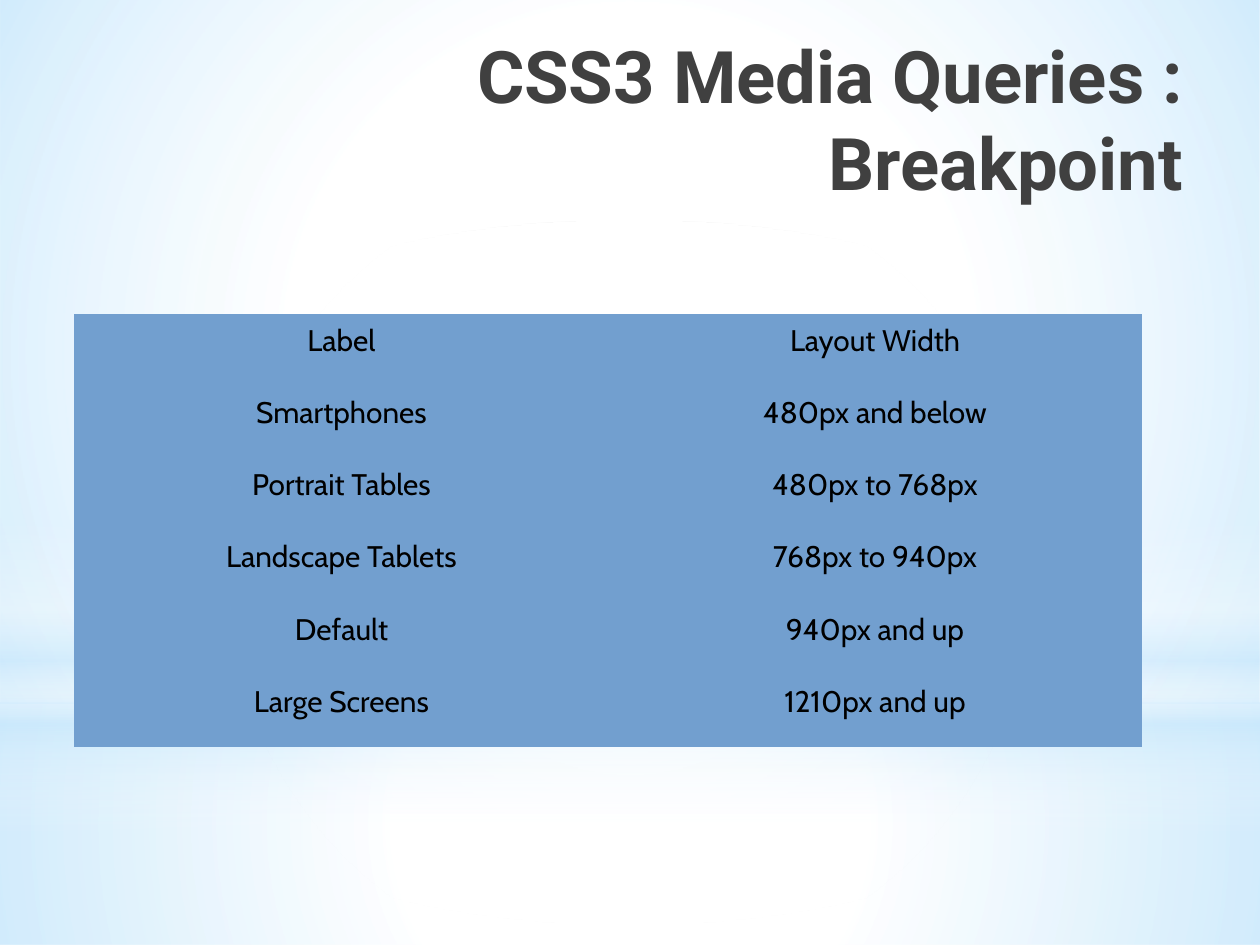
from dataclasses import dataclass
from lxml.etree import SubElement
from pptx import Presentation
from pptx.dml.color import RGBColor
from pptx.enum.shapes import MSO_SHAPE
from pptx.enum.text import MSO_ANCHOR, MSO_AUTO_SIZE, PP_ALIGN
from pptx.oxml.ns import qn
from pptx.util import Inches, Pt


@dataclass(frozen=True)
class Theme:
    white: str = "FFFFFF"
    sky: str = "C6E7FC"
    ink: str = "000000"
    gray: str = "404040"
    cell: str = "729FCF"
    head: str = "Roboto"
    body: str = "Cabin"
    big: float = 41.4
    small: float = 17
    plain: str = "{2D5ABB26-0587-4C30-8999-92F81FD0307C}"


class Deck:
    def __init__(self, theme):
        self.theme = theme
        self.file = Presentation()
        self.file.slide_width = Inches(10)
        self.file.slide_height = Inches(7.5)
        self.slide = self.file.slides.add_slide(self.file.slide_layouts[5])

    def style(self, para, font, size, color, align, bold=False):
        para.alignment = align
        for run in para.runs:
            run.font.name = font
            run.font.size = Pt(size)
            run.font.bold = bold
            run.font.color.rgb = RGBColor.from_string(color)

    def glow(self, kind, box, stops, angle=None):
        shape = self.slide.shapes.add_shape(kind, *map(Inches, box))
        shape.shadow.inherit = False
        shape.line.fill.background()
        shape.fill.gradient()
        grad = shape.element.spPr.find(qn("a:gradFill"))
        for child in list(grad):
            grad.remove(child)
        items = SubElement(grad, qn("a:gsLst"))
        for place, color, alpha in stops:
            stop = SubElement(items, qn("a:gs"), pos=str(place * 1000))
            tint = SubElement(stop, qn("a:srgbClr"), val=color)
            SubElement(tint, qn("a:alpha"), val=str(alpha * 1000))
        if angle is None:
            path = SubElement(grad, qn("a:path"), path="circle")
            SubElement(path, qn("a:fillToRect"), dict.fromkeys("ltrb", "50000"))
        else:
            SubElement(grad, qn("a:lin"), ang=str(angle * 60000), scaled="0")

    def title(self, text, box):
        shape = self.slide.shapes.title
        shape.element.getparent().append(shape.element)
        shape.left, shape.top, shape.width, shape.height = map(Inches, box)
        frame = shape.text_frame
        frame.text = text
        frame.word_wrap = True
        frame.auto_size = MSO_AUTO_SIZE.NONE
        frame.vertical_anchor = MSO_ANCHOR.TOP
        frame.margin_left = Inches(0.45)
        t = self.theme
        self.style(frame.paragraphs[0], t.head, t.big, t.gray, PP_ALIGN.RIGHT, True)

    def table(self, rows, box, widths):
        t = self.theme
        frame = self.slide.shapes.add_table(len(rows), len(widths), *map(Inches, box))
        table = frame.table
        table.first_row = table.horz_banding = False
        next(frame.element.iter(qn("a:tableStyleId"))).text = t.plain
        for col, width in zip(table.columns, widths):
            col.width = Inches(width)
        for row, texts in zip(table.rows, rows):
            for cell, text in zip(row.cells, texts):
                cell.fill.solid()
                cell.fill.fore_color.rgb = RGBColor.from_string(t.cell)
                cell.margin_top = Inches(0.08)
                cell.text_frame.text = text
                para = cell.text_frame.paragraphs[0]
                para.line_spacing = 0.94
                self.style(para, t.body, t.small, t.ink, PP_ALIGN.CENTER)


def main():
    theme = Theme()
    deck = Deck(theme)
    white, sky = theme.white, theme.sky
    rect, oval = MSO_SHAPE.RECTANGLE, MSO_SHAPE.OVAL
    deck.glow(rect, (0, 5.58, 10, 1.92),
              [(0, white, 91), (37, white, 76), (100, sky, 79)])
    deck.glow(rect, (0, 0, 10, 5.58),
              [(0, white, 89), (48, white, 62), (100, sky, 79)])
    deck.glow(rect, (0, 4.12, 10, 2.5),
              [(0, white, 0), (29, white, 30), (45, sky, 40),
               (55, white, 26), (65, sky, 60), (100, white, 0)], 90)
    deck.glow(oval, (0, 1.75, 10, 5.58), [(0, white, 100), (56, white, 0)])
    deck.title("CSS3 Media Queries : Breakpoint", (0.73, 0.2, 8.76, 0.93))
    rows = [
        ("Label", "Layout Width"),
        ("Smartphones", "480px and below"),
        ("Portrait Tables", "480px to 768px"),
        ("Landscape Tablets", "768px to 940px"),
        ("Default", "940px and up"),
        ("Large Screens", "1210px and up"),
    ]
    deck.table(rows, (0.59, 2.49, 8.47, 3.44), (4.24, 4.23))
    deck.file.save("out.pptx")


if __name__ == "__main__":
    main()
